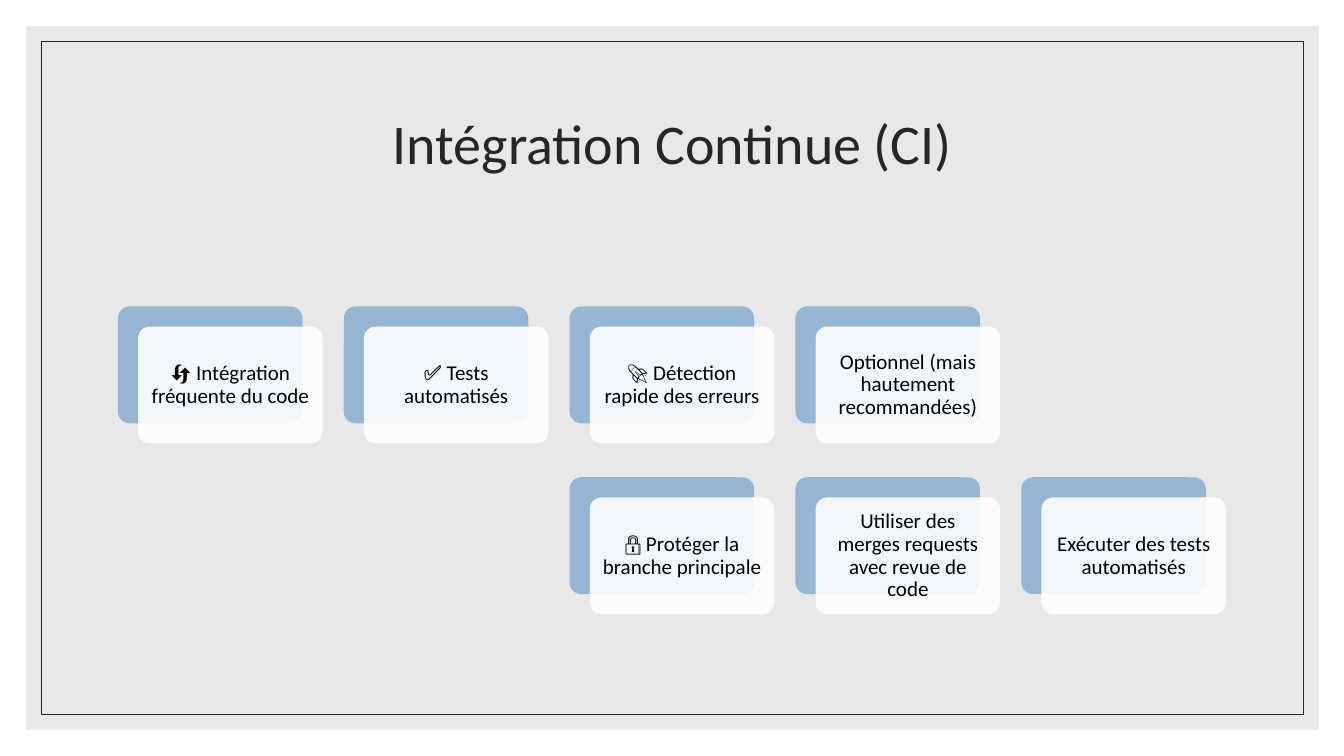
"""Build the continuous integration slide with its two rows of stacked cards."""
from dataclasses import dataclass
from typing import Optional

from lxml import etree
from pptx import Presentation
from pptx.dml.color import RGBColor
from pptx.enum.shapes import MSO_SHAPE
from pptx.enum.text import MSO_ANCHOR, PP_ALIGN
from pptx.oxml.ns import qn
from pptx.shapes.autoshape import Shape
from pptx.slide import Slide
from pptx.util import Inches, Pt

RECTANGLE = MSO_SHAPE.RECTANGLE
ROUNDED = MSO_SHAPE.ROUNDED_RECTANGLE
MIDDLE = MSO_ANCHOR.MIDDLE
CENTER = PP_ALIGN.CENTER

COLORS = {
    "page": "FFFFFF",
    "panel": "D9D9D9",
    "ink": "262626",
    "card_back": "94B6D2",
    "card_front": "FFFFFF",
    "card_text": "000000",
}
FONT = "Calibri"
GRID_LEFT, GRID_TOP = 1.17, 3.04
COLUMN_STEP, ROW_STEP = 2.24, 1.695
CARD_WIDTH, CARD_HEIGHT = 1.83, 1.16
CARD_OFFSET = 0.2


@dataclass(frozen=True)
class Box:
    """Position and size in inches."""

    left: float
    top: float
    width: float
    height: float


@dataclass(frozen=True)
class Card:
    """A step of the process and its cell in the grid."""

    text: str
    column: int
    row: int


CARDS = [
    Card("🔄 Intégration fréquente du code", 0, 0),
    Card("✅ Tests automatisés", 1, 0),
    Card("🚀 Détection rapide des erreurs", 2, 0),
    Card("Optionnel (mais hautement recommandées)", 3, 0),
    Card("🔒 Protéger la branche principale", 2, 1),
    Card("Utiliser des merges requests avec revue de code", 3, 1),
    Card("Exécuter des tests automatisés", 4, 1),
]


def color(name: str) -> RGBColor:
    """Return a named colour."""
    return RGBColor.from_string(COLORS[name])


def add_box(page: Slide, kind: MSO_SHAPE, box: Box, fill: Optional[str] = None,
            opacity: int = 100, line: Optional[str] = None) -> Shape:
    """Draw a flat shape with optional fill and outline."""
    shape = page.shapes.add_shape(kind, Inches(box.left), Inches(box.top),
                                  Inches(box.width), Inches(box.height))
    shape.shadow.inherit = False
    if kind == ROUNDED:
        shape.adjustments[0] = 0.1
    if fill:
        shape.fill.solid()
        shape.fill.fore_color.rgb = color(fill)
        if opacity < 100:
            tint = shape.element.spPr.find(qn("a:solidFill")).find(qn("a:srgbClr"))
            etree.SubElement(tint, qn("a:alpha")).set("val", str(opacity * 1000))
    else:
        shape.fill.background()
    if line:
        shape.line.color.rgb = color(line)
        shape.line.width = Pt(0.5)
    else:
        shape.line.fill.background()
    return shape


def write(shape: Shape, text: str, size: int, ink: str, margin: float) -> None:
    """Put one centred paragraph in a shape."""
    frame = shape.text_frame
    frame.word_wrap = True
    frame.vertical_anchor = MIDDLE
    frame.margin_left = frame.margin_right = Inches(margin)
    frame.margin_top = frame.margin_bottom = Inches(margin)
    para = frame.paragraphs[0]
    para.text = text
    para.alignment = CENTER
    para.line_spacing = 0.9
    para.font.name = FONT
    para.font.size = Pt(size)
    para.font.color.rgb = color(ink)


def add_card(page: Slide, card: Card) -> None:
    """Draw a coloured card with a translucent text card over it."""
    left = GRID_LEFT + card.column * COLUMN_STEP
    top = GRID_TOP + card.row * ROW_STEP
    add_box(page, ROUNDED, Box(left, top, CARD_WIDTH, CARD_HEIGHT), "card_back")
    front = add_box(page, ROUNDED,
                    Box(left + CARD_OFFSET, top + CARD_OFFSET, CARD_WIDTH, CARD_HEIGHT),
                    "card_front", opacity=90)
    write(front, card.text, 15, "card_text", 0.09)


def main() -> None:
    """Build and save the deck."""
    deck = Presentation()
    deck.slide_width, deck.slide_height = Inches(13.33), Inches(7.5)
    page = deck.slides.add_slide(deck.slide_layouts[6])
    page.background.fill.solid()
    page.background.fill.fore_color.rgb = color("page")
    add_box(page, RECTANGLE, Box(0.26, 0.26, 12.82, 6.98), "panel", opacity=60)
    add_box(page, RECTANGLE, Box(0.41, 0.41, 12.52, 6.68), line="ink")
    title = page.shapes.add_textbox(Inches(1.17), Inches(0.7), Inches(11), Inches(1.5))
    write(title, "Intégration Continue (CI)", 40, "ink", 0.05)
    for card in CARDS:
        add_card(page, card)
    deck.save("out.pptx")


if __name__ == "__main__":
    main()
